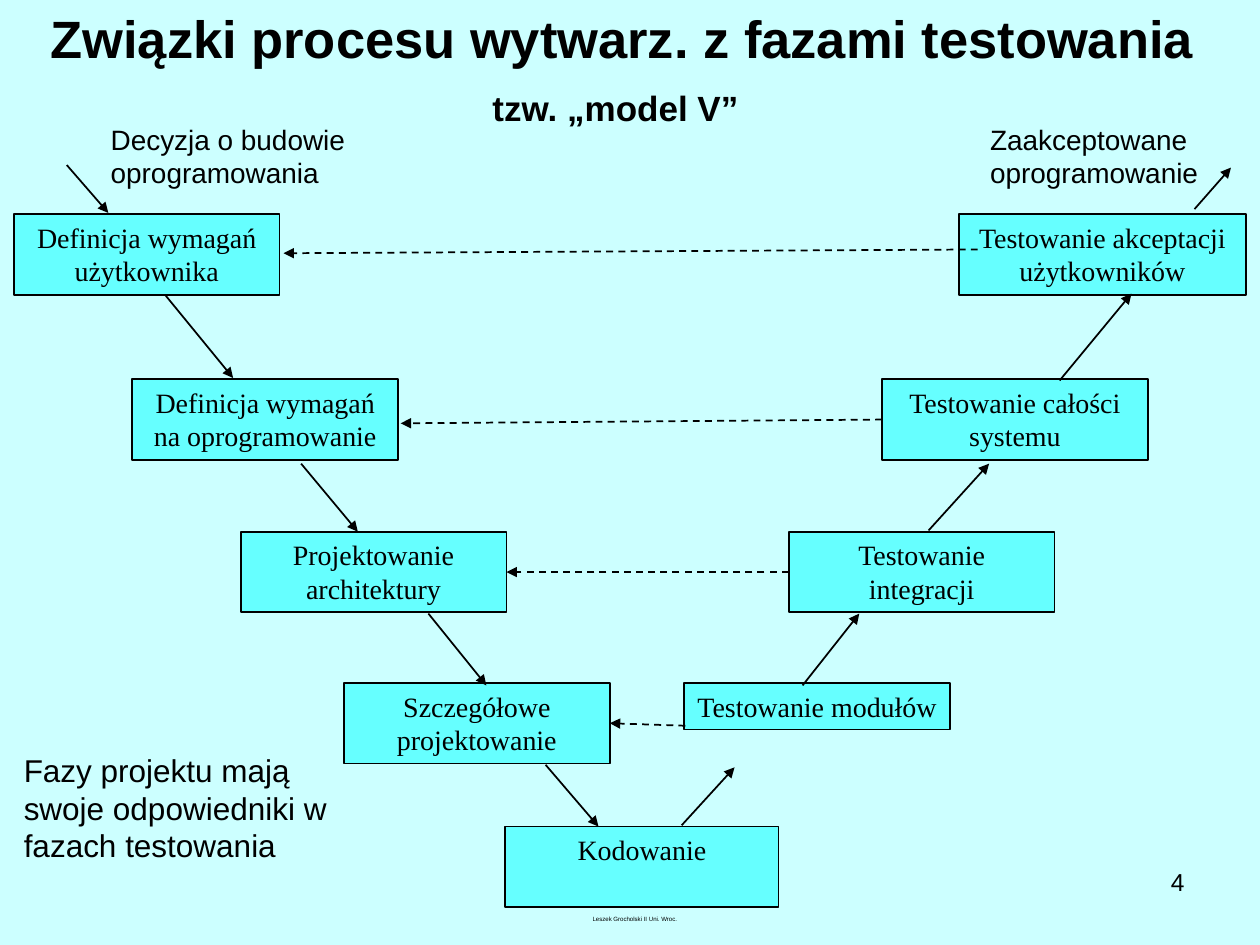
from dataclasses import dataclass
from typing import Optional

from lxml import etree
from pptx import Presentation
from pptx.dml.color import RGBColor
from pptx.enum.dml import MSO_LINE
from pptx.enum.shapes import MSO_CONNECTOR, MSO_SHAPE
from pptx.enum.text import MSO_ANCHOR, PP_ALIGN
from pptx.oxml.ns import qn
from pptx.util import Inches, Pt

LEFT, CENTER, RIGHT = PP_ALIGN.LEFT, PP_ALIGN.CENTER, PP_ALIGN.RIGHT
TOP, MIDDLE = MSO_ANCHOR.TOP, MSO_ANCHOR.MIDDLE
RECT, STRAIGHT, DASH = MSO_SHAPE.RECTANGLE, MSO_CONNECTOR.STRAIGHT, MSO_LINE.DASH
LEFT_SIDE, RIGHT_SIDE = 1, 3

COLORS = {"background": "CCFFFF", "box": "66FFFF", "ink": "000000"}
COLS, ROWS = 100, 75
WIDTH, HEIGHT = Inches(10), Inches(7.5)
BOX_COLS, BOX_ROWS = 21.1, 6.4


@dataclass
class Label:
    text: str
    col: float
    row: float
    cols: float
    rows: float
    size: float
    align: PP_ALIGN = LEFT
    bold: bool = False
    anchor: MSO_ANCHOR = TOP


@dataclass
class Phase:
    text: str
    col: float
    row: float
    cols: float = BOX_COLS
    rows: float = BOX_ROWS


@dataclass
class Arrow:
    start: tuple[float, float]
    end: tuple[float, float]
    dashed: bool = False
    source: Optional[str] = None
    target: Optional[str] = None


LABELS = [
    Label("Leszek Grocholski II Uni. Wroc.", 34.2, 72.2, 32.4, 1.4, 3.5, CENTER),
    Label("4", 71.7, 68.3, 23.3, 5.2, 14, RIGHT),
    Label("Związki procesu wytwarz. z fazami testowania",
          1.1, -3.2, 96.6, 12.3, 30, CENTER, True, MIDDLE),
    Label("Decyzja o budowie oprogramowania", 7.8, 9.2, 21.2, 6.4, 16),
    Label("Zaakceptowane oprogramowanie", 77.6, 9.2, 21.3, 6.4, 16),
    Label("Fazy projektu mają swoje odpowiedniki w fazach testowania",
          0.9, 59.1, 28.2, 10, 18),
    Label("tzw. „model V”", 38.1, 6.4, 31.8, 4.4, 20, bold=True),
]

PHASES = {
    "user_needs": Phase("Definicja wymagań użytkownika", 1.1, 17),
    "software_needs": Phase("Definicja wymagań na oprogramowanie", 10.5, 30.1),
    "architecture": Phase("Projektowanie architektury", 19.1, 42.2),
    "design": Phase("Szczegółowe projektowanie", 27.3, 54.2),
    "coding": Phase("Kodowanie", 40.1, 65.6, cols=21.7),
    "module_tests": Phase("Testowanie modułów", 54.3, 54.2, rows=3.7),
    "integration_tests": Phase("Testowanie\nintegracji", 62.6, 42.2),
    "system_tests": Phase("Testowanie całości systemu", 70, 30.1),
    "acceptance_tests": Phase("Testowanie akceptacji użytkowników", 76.1, 17, cols=22.8),
}

ARROWS = [
    Arrow((5.3, 13.1), (8.6, 16.9)),
    Arrow((13.1, 23.4), (18.5, 30)),
    Arrow((23.9, 36.8), (28.4, 42.2)),
    Arrow((34, 48.7), (38.6, 54.4)),
    Arrow((43.3, 60.7), (47.5, 65.6)),
    Arrow((54.1, 65.5), (58.3, 60.9)),
    Arrow((63.7, 54.4), (68.2, 48.7)),
    Arrow((73.7, 42.1), (78.5, 36.8)),
    Arrow((84.1, 30.2), (89.8, 23.3)),
    Arrow((94.8, 16.6), (97.7, 13.3)),
    Arrow((54.4, 57.6), (48.4, 57.6), True, target="design"),
    Arrow((62.6, 45.4), (40.1, 45.5), True, "integration_tests", "architecture"),
    Arrow((69.9, 33.5), (31.8, 33.6), True, source="system_tests"),
    Arrow((77.6, 19.8), (22.5, 20.1), True),
]


def color(name: str) -> RGBColor:
    return RGBColor.from_string(COLORS[name])


def x(cols: float) -> int:
    return round(WIDTH * cols / COLS)


def y(rows: float) -> int:
    return round(HEIGHT * rows / ROWS)


def write(sp, text: str, font: str, size: float, align: PP_ALIGN,
          bold: bool = False, anchor: MSO_ANCHOR = TOP) -> None:
    tf = sp.text_frame
    tf.word_wrap = True
    tf.vertical_anchor = anchor
    tf.text = text
    for p in tf.paragraphs:
        p.alignment = align
        p.font.name = font
        p.font.size = Pt(size)
        p.font.bold = bold
        p.font.color.rgb = color("ink")


def draw_label(slide, label: Label) -> None:
    sp = slide.shapes.add_textbox(x(label.col), y(label.row), x(label.cols), y(label.rows))
    write(sp, label.text, "Arial", label.size, label.align, label.bold, label.anchor)


def draw_phase(slide, phase: Phase):
    sp = slide.shapes.add_shape(RECT, x(phase.col), y(phase.row), x(phase.cols), y(phase.rows))
    sp.shadow.inherit = False
    sp.fill.solid()
    sp.fill.fore_color.rgb = color("box")
    sp.line.color.rgb = color("ink")
    sp.line.width = Pt(1)
    write(sp, phase.text, "Times New Roman", 16, CENTER)
    return sp


def draw_arrow(slide, arrow: Arrow, boxes: dict) -> None:
    (x1, y1), (x2, y2) = arrow.start, arrow.end
    line = slide.shapes.add_connector(STRAIGHT, x(x1), y(y1), x(x2), y(y2))
    if arrow.source:
        line.begin_connect(boxes[arrow.source], LEFT_SIDE)
    if arrow.target:
        line.end_connect(boxes[arrow.target], RIGHT_SIDE)
    line.line.color.rgb = color("ink")
    line.line.width = Pt(1)
    if arrow.dashed:
        line.line.dash_style = DASH
    etree.SubElement(line.line._get_or_add_ln(), qn("a:tailEnd"), type="triangle")
    etree.SubElement(line._element.spPr, qn("a:effectLst"))


def main() -> None:
    prs = Presentation()
    prs.slide_width, prs.slide_height = WIDTH, HEIGHT
    slide = prs.slides.add_slide(prs.slide_layouts[6])
    slide.background.fill.solid()
    slide.background.fill.fore_color.rgb = color("background")
    boxes = {name: draw_phase(slide, phase) for name, phase in PHASES.items()}
    for arrow in ARROWS:
        draw_arrow(slide, arrow, boxes)
    for label in LABELS:
        draw_label(slide, label)
    prs.save("out.pptx")


if __name__ == "__main__":
    main()
